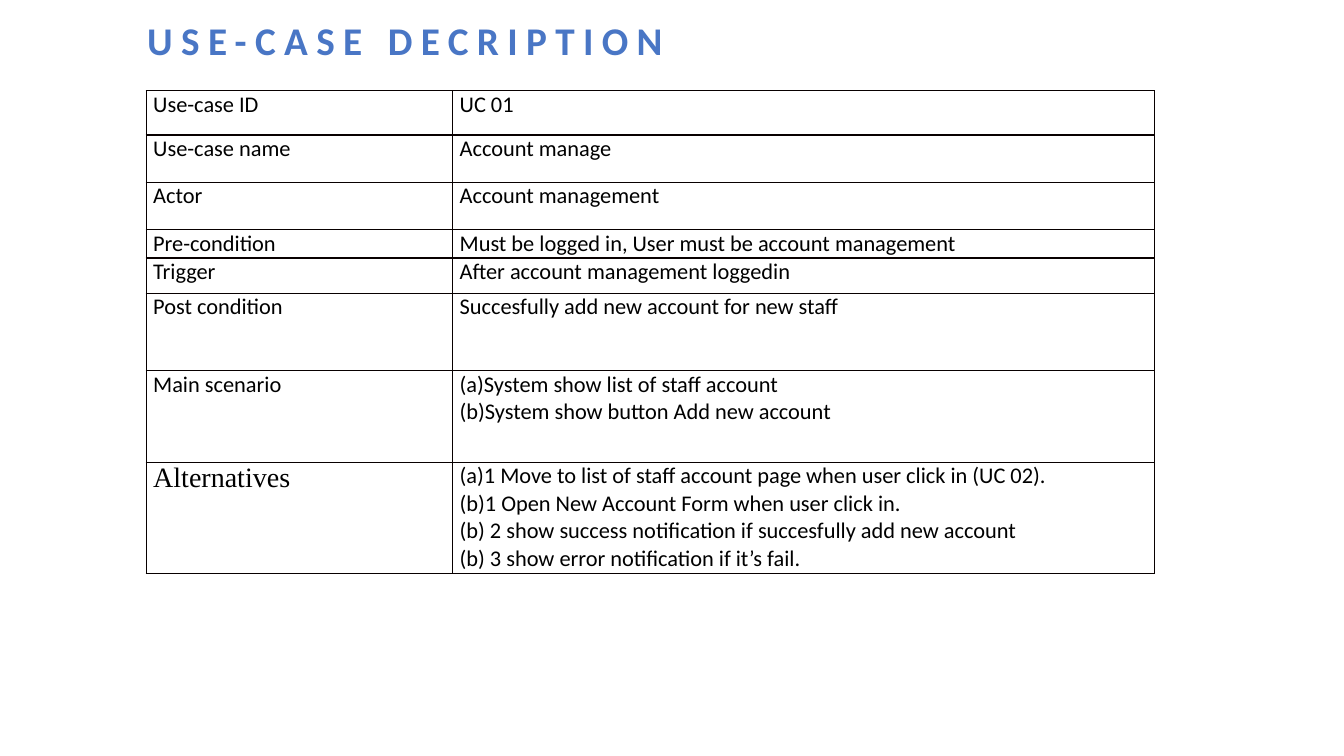
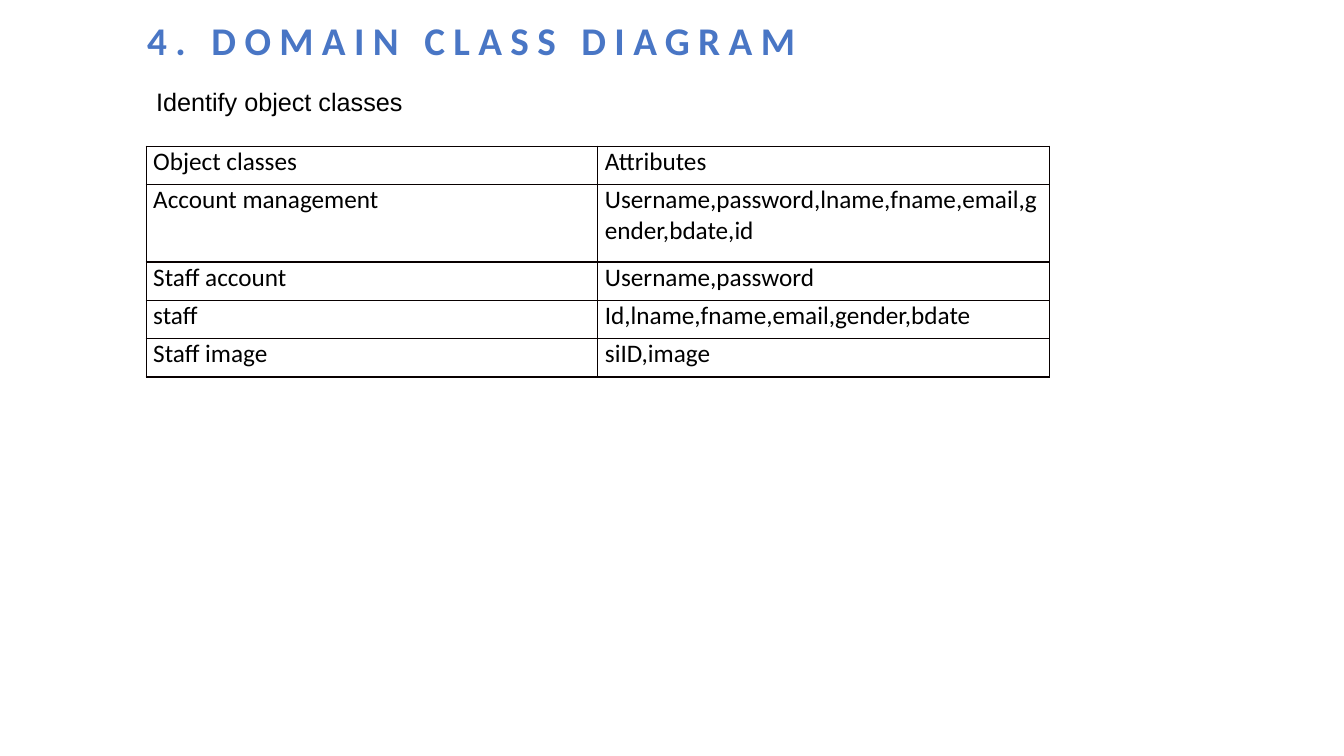
from pptx import Presentation
from pptx.dml.color import RGBColor
from pptx.enum.text import MSO_ANCHOR, MSO_AUTO_SIZE, PP_ALIGN
from pptx.oxml.ns import qn
from pptx.util import Emu, Pt
from lxml import etree

LEFT = PP_ALIGN.LEFT
TOP = MSO_ANCHOR.TOP
NO_FIT = MSO_AUTO_SIZE.NONE
GROW = MSO_AUTO_SIZE.SHAPE_TO_FIT_TEXT
PX = 9144
TITLE_ONLY = 5
COLORS = {"title": "4976C5", "text": "000000", "border": "080000"}
TITLE_BOX = (136, 16, 1001, 65)
TITLE_FONT = {"name": "Calibri", "size": Pt(28), "bold": True}
TITLE_SPACING = 600
CELL_MARGINS = {"margin_left": 7, "margin_right": 7, "margin_top": 0, "margin_bottom": 0}
BORDER_WIDTH = Pt(1)
SUBTITLE_FONT = {"name": "Arial", "size": Pt(18)}

SLIDES = [
    {
        "title": "USE-CASE DECRIPTION",
        "table_at": (145, 90),
        "columns": [304, 696],
        "font": {"name": "Calibri", "size": Pt(16)},
        "special_fonts": {"Alternatives": {"name": "Times New Roman", "size": Pt(20)}},
        "rows": [
            (44, "Use-case ID", "UC 01"),
            (47, "Use-case name", "Account manage"),
            (47, "Actor", "Account management"),
            (28, "Pre-condition", "Must be logged in, User must be account management"),
            (35, "Trigger", "After account management loggedin"),
            (77, "Post condition", "Succesfully add new account for new staff"),
            (91, "Main scenario",
             "(a)System show list of staff account\n"
             "(b)System show button Add new account"),
            (110, "Alternatives",
             "(a)1 Move to list of staff account page when user click in (UC 02).\n"
             "(b)1 Open New Account Form when user click in.\n"
             "(b) 2 show success notification if succesfully add new account\n"
             "(b) 3 show error notification if it’s fail."),
        ],
    },
    {
        "title": "4. DOMAIN CLASS DIAGRAM",
        "subtitle": "Identify object classes",
        "subtitle_box": (145, 81, 667, 40),
        "table_at": (145, 145),
        "columns": [448, 448],
        "font": {"name": "Calibri", "size": Pt(18)},
        "special_fonts": {},
        "rows": [
            (38, "Object classes", "Attributes"),
            (77, "Account management", "Username,password,lname,fname,email,gender,bdate,id"),
            (38, "Staff account", "Username,password"),
            (38, "staff", "Id,lname,fname,email,gender,bdate"),
            (38, "Staff image", "siID,image"),
        ],
    },
]


def px(*lengths):
    return [Emu(length * PX) for length in lengths]


def write(tf, text, font, color):
    tf.text = text
    for p in tf.paragraphs:
        p.alignment = LEFT
        for r in p.runs:
            for name, value in font.items():
                setattr(r.font, name, value)
            r.font.color.rgb = RGBColor.from_string(COLORS[color])


def add_title(s, text):
    sp = s.shapes.title
    sp.left, sp.top, sp.width, sp.height = px(*TITLE_BOX)
    tf = sp.text_frame
    tf.vertical_anchor = TOP
    tf.auto_size = NO_FIT
    write(tf, text, TITLE_FONT, "title")
    p = tf.paragraphs[0]
    p.line_spacing = 0.9
    p.runs[0].font._element.set("spc", str(TITLE_SPACING))


def add_subtitle(s, text, box):
    tf = s.shapes.add_textbox(*px(*box)).text_frame
    tf.word_wrap = True
    tf.auto_size = GROW
    write(tf, text, SUBTITLE_FONT, "text")


def format_cell(cell):
    for name, value in CELL_MARGINS.items():
        setattr(cell, name, Emu(value * PX))
    cell.vertical_anchor = TOP
    tc_pr = cell._tc.get_or_add_tcPr()
    for side in ("a:lnL", "a:lnR", "a:lnT", "a:lnB"):
        ln = etree.SubElement(tc_pr, qn(side), w=str(BORDER_WIDTH))
        fill = etree.SubElement(ln, qn("a:solidFill"))
        etree.SubElement(fill, qn("a:srgbClr"), val=COLORS["border"])
    cell.fill.background()


def add_grid(s, content):
    rows, columns = content["rows"], content["columns"]
    size = sum(columns), sum(row[0] for row in rows)
    frame = s.shapes.add_table(len(rows), len(columns), *px(*content["table_at"], *size))
    table = frame.table
    table.first_row = table.horz_banding = False
    for column, width in zip(table.columns, columns):
        column.width = Emu(width * PX)
    for row, (height, *texts) in zip(table.rows, rows):
        row.height = Emu(height * PX)
        for cell, text in zip(row.cells, texts):
            font = content["special_fonts"].get(text, content["font"])
            write(cell.text_frame, text, font, "text")
            format_cell(cell)


def main():
    prs = Presentation()
    prs.slide_width, prs.slide_height = px(1333, 750)
    for content in SLIDES:
        s = prs.slides.add_slide(prs.slide_layouts[TITLE_ONLY])
        add_title(s, content["title"])
        if "subtitle" in content:
            add_subtitle(s, content["subtitle"], content["subtitle_box"])
        add_grid(s, content)
    prs.save("out.pptx")


if __name__ == "__main__":
    main()
